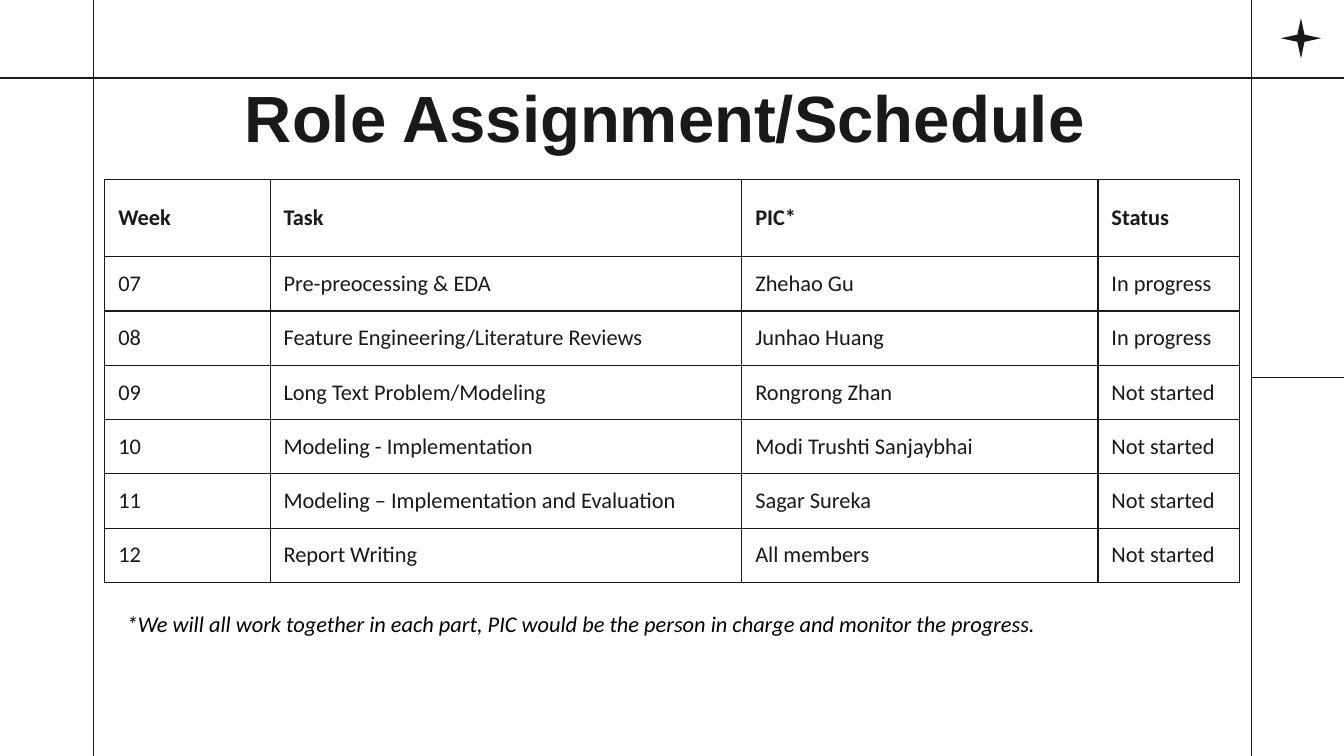
from lxml import etree
from pptx import Presentation
from pptx import util as u
from pptx.dml.color import RGBColor
from pptx.enum import shapes, text
from pptx.oxml.ns import qn

PX = 4572
WIDTH, HEIGHT = 2000, 1125
COLORS = {"ink": "191919", "note": "000000"}
COLS = [246, 702, 530, 210]
ROWS = [
    ("Week", "Task", "PIC*", "Status"),
    ("07", "Pre-preocessing & EDA", "Zhehao Gu", "In progress"),
    ("08", "Feature Engineering/Literature Reviews", "Junhao Huang", "In progress"),
    ("09", "Long Text Problem/Modeling", "Rongrong Zhan", "Not started"),
    ("10", "Modeling - Implementation", "Modi Trushti Sanjaybhai", "Not started"),
    ("11", "Modeling – Implementation and Evaluation", "Sagar Sureka", "Not started"),
    ("12", "Report Writing", "All members", "Not started"),
]
NOTE = ("*We will all work together in each part, PIC would be the person "
        "in charge and monitor the progress.")


def px(*values):
    """Turn px lengths into EMU."""
    return [u.Emu(v * PX) for v in values]


def rgb(name):
    """Look up a palette colour."""
    return RGBColor.from_string(COLORS[name])


def style(p, font, size, color, bold=False, italic=False):
    """Format every run of a paragraph."""
    for r in p.runs:
        r.font.name, r.font.size = font, u.Pt(size)
        r.font.bold, r.font.italic = bold, italic
        r.font.color.rgb = rgb(color)


def add_line(s, x1, y1, x2, y2):
    """Draw one thin frame line."""
    line = s.shapes.add_connector(shapes.MSO_CONNECTOR.STRAIGHT, *px(x1, y1, x2, y2))
    line.line.color.rgb = rgb("ink")
    line.line.width = u.Pt(0.75)
    etree.SubElement(line._element.spPr, qn("a:effectLst"))


def add_frame(s, x, y, w, h):
    """Draw the ruled frame and the corner star over the given box."""
    left, right, top, bleed = x + 139, x + w - 138, y + 116, 7
    star = s.shapes.add_shape(shapes.MSO_SHAPE.STAR_4_POINT,
                              *px(right + 44, y + 27, 60, 60))
    star.adjustments[0] = 0.125
    star.shadow.inherit = False
    star.fill.solid()
    star.fill.fore_color.rgb = rgb("ink")
    star.line.fill.background()
    add_line(s, right, y + h // 2, x + w, y + h // 2)
    for column in (left, right):
        add_line(s, column, y - bleed, column, y + h + bleed)
    add_line(s, x - bleed, top, x + w + bleed, top)


def add_title(s, x, y, w, h):
    """Place the slide title in the given box."""
    sp = s.shapes.title
    sp.left, sp.top, sp.width, sp.height = px(x, y, w, h)
    tf = sp.text_frame
    tf.text = "Role Assignment/Schedule"
    tf.word_wrap, tf.auto_size = True, text.MSO_AUTO_SIZE.NONE
    tf.vertical_anchor = text.MSO_ANCHOR.BOTTOM
    tf.margin_left, tf.margin_top, tf.margin_right, tf.margin_bottom = px(0, 20, 20, 20)
    p = tf.paragraphs[0]
    p.alignment = text.PP_ALIGN.CENTER
    style(p, "Arial", 35, "ink", bold=True)


def add_borders(cell):
    """Rule all four sides of a table cell."""
    tc_pr = cell._tc.get_or_add_tcPr()
    for side in ("lnL", "lnR", "lnT", "lnB"):
        ln = etree.SubElement(tc_pr, qn(f"a:{side}"), w=str(u.Pt(0.75)))
        fill = etree.SubElement(ln, qn("a:solidFill"))
        etree.SubElement(fill, qn("a:srgbClr"), val=COLORS["ink"])


def add_schedule(s, x, y, w, h):
    """Place the schedule table in the given box."""
    table = s.shapes.add_table(len(ROWS), len(COLS), *px(x, y, w, h)).table
    table.horz_banding = False
    for column, width in zip(table.columns, COLS):
        column.width = px(width)[0]
    header = 115
    body = (h - header) * PX // (len(ROWS) - 1)
    for i, values in enumerate(ROWS):
        table.rows[i].height = u.Emu(body) if i else px(header)[0]
        for j, value in enumerate(values):
            cell = table.cell(i, j)
            cell.text = value
            cell.vertical_anchor = text.MSO_ANCHOR.MIDDLE
            (cell.margin_left, cell.margin_top,
             cell.margin_right, cell.margin_bottom) = px(20, 20, 20, 20)
            add_borders(cell)
            cell.fill.background()
            style(cell.text_frame.paragraphs[0], "Calibri", 12, "ink", bold=i == 0)


def add_note(s, x, y, w, h):
    """Place the footnote in the given box."""
    tf = s.shapes.add_textbox(*px(x, y, w, h)).text_frame
    tf.text = NOTE
    tf.word_wrap, tf.auto_size = True, text.MSO_AUTO_SIZE.SHAPE_TO_FIT_TEXT
    style(tf.paragraphs[0], "Calibri", 12, "note", italic=True)


def main():
    """Build and save the slide."""
    prs = Presentation()
    prs.slide_width, prs.slide_height = px(WIDTH, HEIGHT)
    s = prs.slides.add_slide(prs.slide_layouts[5])
    add_frame(s, 0, 0, WIDTH, HEIGHT)
    add_title(s, 157, 116, 1686, 136)
    add_schedule(s, 156, 267, sum(COLS), 600)
    add_note(s, 169, 898, 1640, 60)
    prs.save("out.pptx")


if __name__ == "__main__":
    main()
